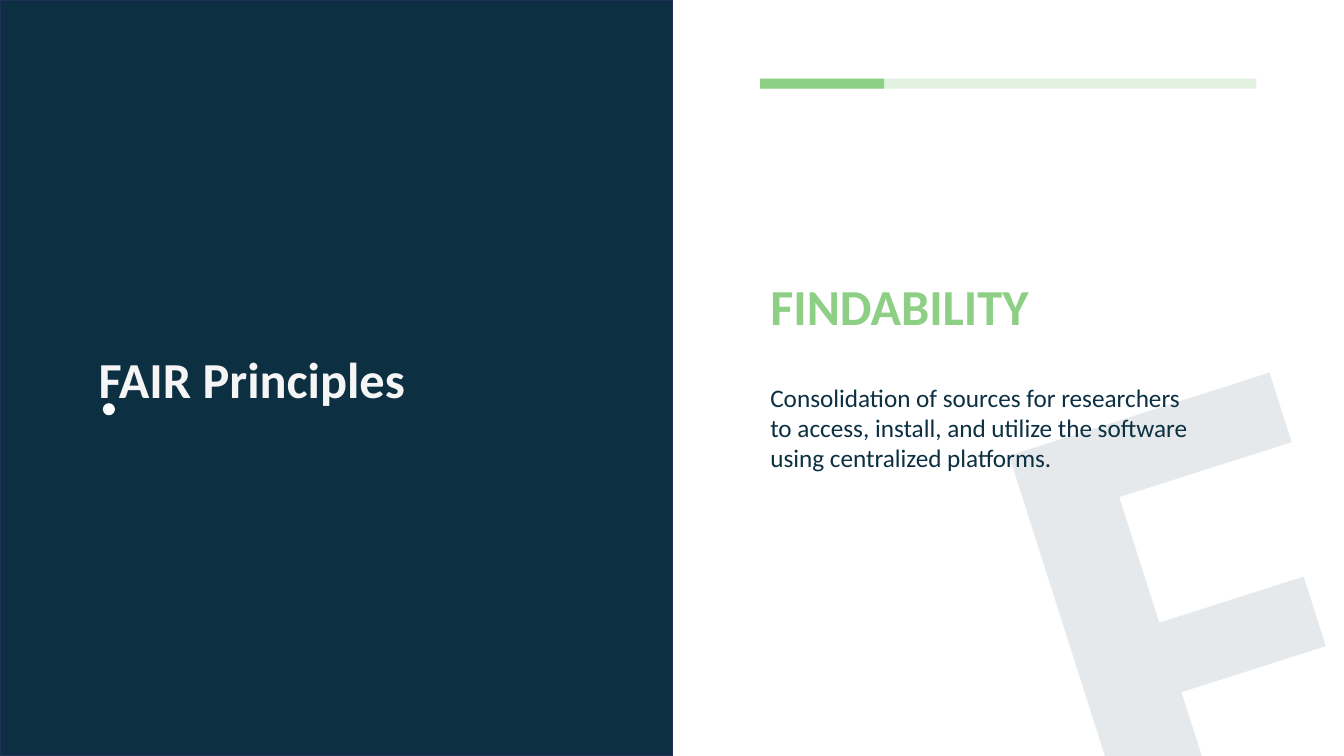
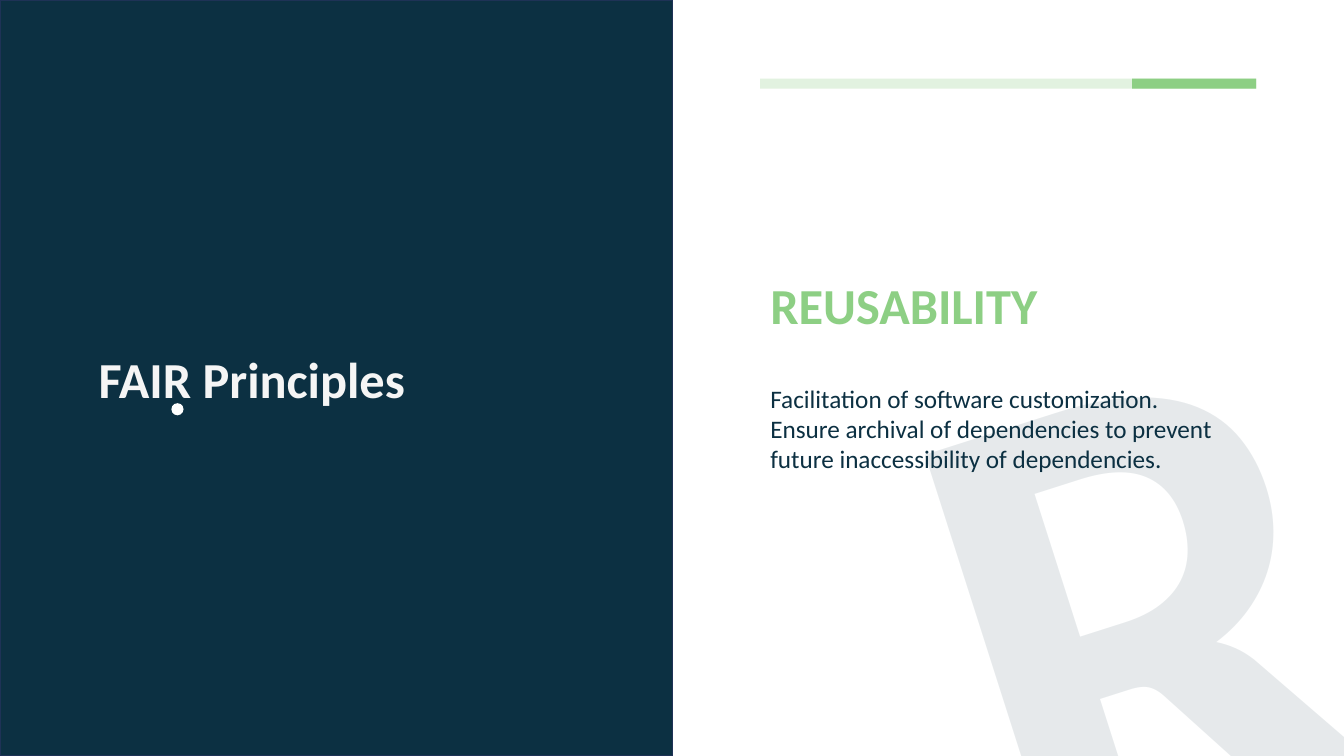
from lxml import etree
from pptx import Presentation
from pptx.dml.color import RGBColor
from pptx.enum.shapes import MSO_SHAPE as SHAPE
from pptx.enum.text import MSO_ANCHOR as ANCHOR, MSO_AUTO_SIZE as AUTO, PP_ALIGN as ALIGN
from pptx.oxml.ns import qn
from pptx.util import Inches, Pt

NAVY = RGBColor(0x0C, 0x30, 0x42)
EDGE = RGBColor(0x1E, 0x32, 0x56)
GREEN = RGBColor(0x8D, 0xCF, 0x84)
PALE = RGBColor(0xF5, 0xF5, 0xF5)
WHITE = RGBColor(0xFF, 0xFF, 0xFF)
FONT = "Calibri"
SLIDE_W, SLIDE_H = 13.33, 7.5
PANEL = (0, 0, 6.67, SLIDE_H)
BAR = (7.54, 0.78, 4.92, 0.1)
PRINCIPLES = 4


def set_alpha(fill_parent, percent):
    """Make the solid colour below the given element translucent."""
    color = next(fill_parent.iter(qn("a:srgbClr")))
    etree.SubElement(color, qn("a:alpha")).set("val", str(percent * 1000))


def place(sp, box):
    """Move a shape to a box given in inches."""
    sp.left, sp.top, sp.width, sp.height = (Inches(v) for v in box)


def add_block(s, box, color, kind=SHAPE.RECTANGLE):
    """Add a flat shape without an outline."""
    sp = s.shapes.add_shape(kind, *(Inches(v) for v in box))
    sp.shadow.inherit = False
    sp.fill.solid()
    sp.fill.fore_color.rgb = color
    sp.line.fill.background()
    return sp


def fill_text(sp, lines, size, color, bold=False, auto=AUTO.NONE):
    """Write one left-aligned paragraph per line, without bullets."""
    tf = sp.text_frame
    tf.word_wrap = True
    tf.auto_size = auto
    tf.vertical_anchor = ANCHOR.TOP
    for i, line in enumerate(lines):
        p = tf.add_paragraph() if i else tf.paragraphs[0]
        pPr = p._p.get_or_add_pPr()
        pPr.set("marL", "0")
        pPr.set("indent", "0")
        etree.SubElement(pPr, qn("a:buNone"))
        p.alignment = ALIGN.LEFT
        p.space_before = Pt(0)
        r = p.add_run()
        r.text = line
        r.font.name = FONT
        r.font.size = Pt(size)
        r.font.bold = bold
        r.font.color.rgb = color


def add_text(s, box, lines, size, color, **style):
    """Add a text box and return it."""
    sp = s.shapes.add_textbox(*(Inches(v) for v in box))
    fill_text(sp, lines, size, color, **style)
    return sp


def add_panel(s, box, dot_x):
    """Draw the dark panel with its heading and the dot under one letter."""
    x, y, w, h = box
    panel = add_block(s, box, NAVY)
    panel.line.color.rgb = EDGE
    panel.line.width = Pt(1)
    add_text(s, (x + 0.88, y + 3.4, w - 1.76, 0.71), ["FAIR Principles"], 36, PALE, bold=True)
    add_block(s, (x + dot_x, y + 4, 0.12, 0.12), WHITE, SHAPE.OVAL)


def add_progress(s, box, step):
    """Draw the progress bar with the current step highlighted."""
    x, y, w, h = box
    track = add_block(s, box, GREEN)
    set_alpha(track.fill._xPr, 25)
    part = w / PRINCIPLES
    add_block(s, (x + step * part, y, part, h), GREEN)


def add_letter(s, letter, x):
    """Place the large tilted initial behind the right-hand side."""
    sp = add_text(s, (x, 1.66, 2.48, 8.72), [letter], 512, NAVY, bold=True,
                  auto=AUTO.SHAPE_TO_FIT_TEXT)
    sp.rotation = 342.2
    set_alpha(sp.text_frame.paragraphs[0].runs[0].font._element, 10)


def add_principle(prs, title, lines, text_y, step, dot_x, letter_x):
    """Build the slide for one principle."""
    s = prs.slides.add_slide(prs.slide_layouts[1])
    x, _, w, _ = BAR
    title_y, body_y = text_y
    head, body = s.shapes.title, s.placeholders[1]
    place(head, (x, title_y, w, 0.71))
    fill_text(head, [title], 36, GREEN, bold=True)
    place(body, (x, body_y, w, 1.01))
    fill_text(body, lines, 18, NAVY)
    add_progress(s, BAR, step)
    add_panel(s, PANEL, dot_x)
    add_letter(s, title[0], letter_x)


def main():
    """Build and save the deck."""
    prs = Presentation()
    prs.slide_width, prs.slide_height = Inches(SLIDE_W), Inches(SLIDE_H)
    add_principle(prs, "FINDABILITY", [
        "Consolidation of sources for researchers",
        "to access, install, and utilize the software using centralized platforms.",
    ], text_y=(2.68, 3.74), step=0, dot_x=1.02, letter_x=10.05)
    add_principle(prs, "REUSABILITY", [
        "Facilitation of software customization.",
        "Ensure archival of dependencies to prevent",
        "future inaccessibility of dependencies.",
    ], text_y=(2.67, 3.75), step=3, dot_x=1.7, letter_x=9.18)
    prs.save("out.pptx")


if __name__ == "__main__":
    main()
